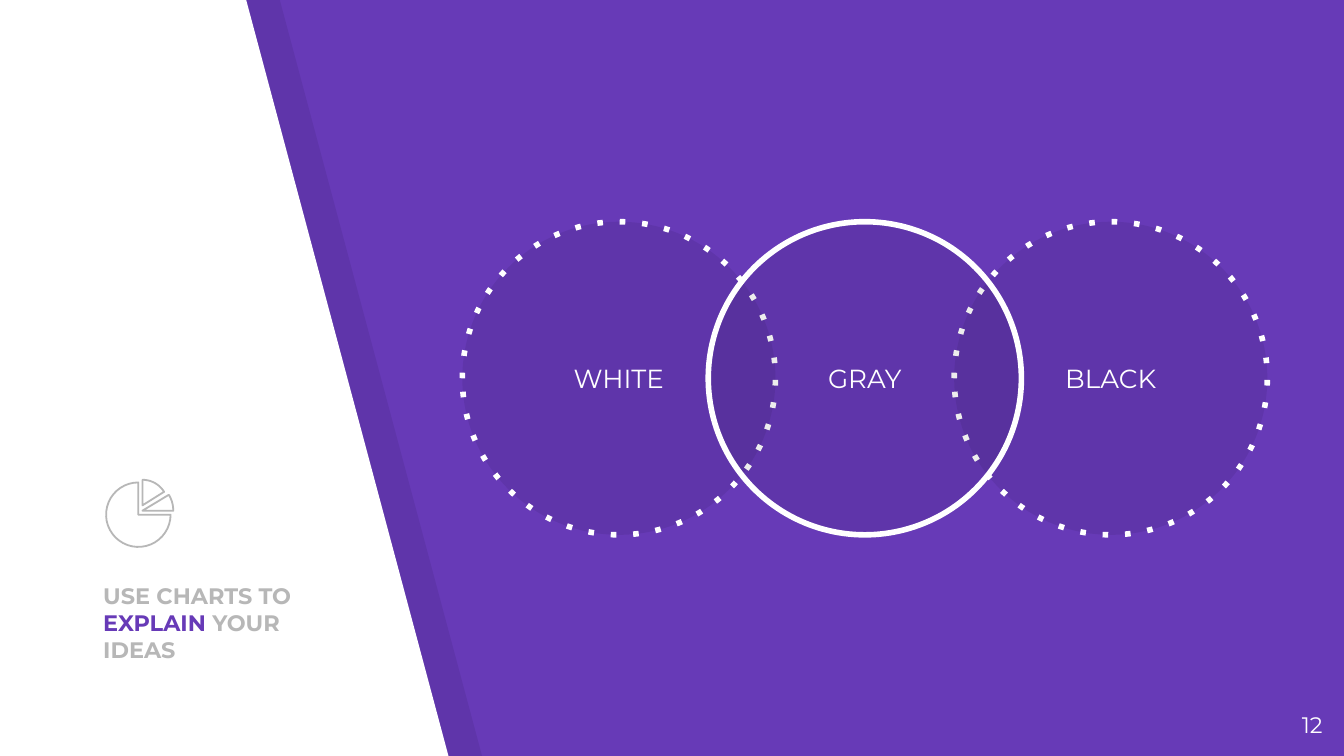
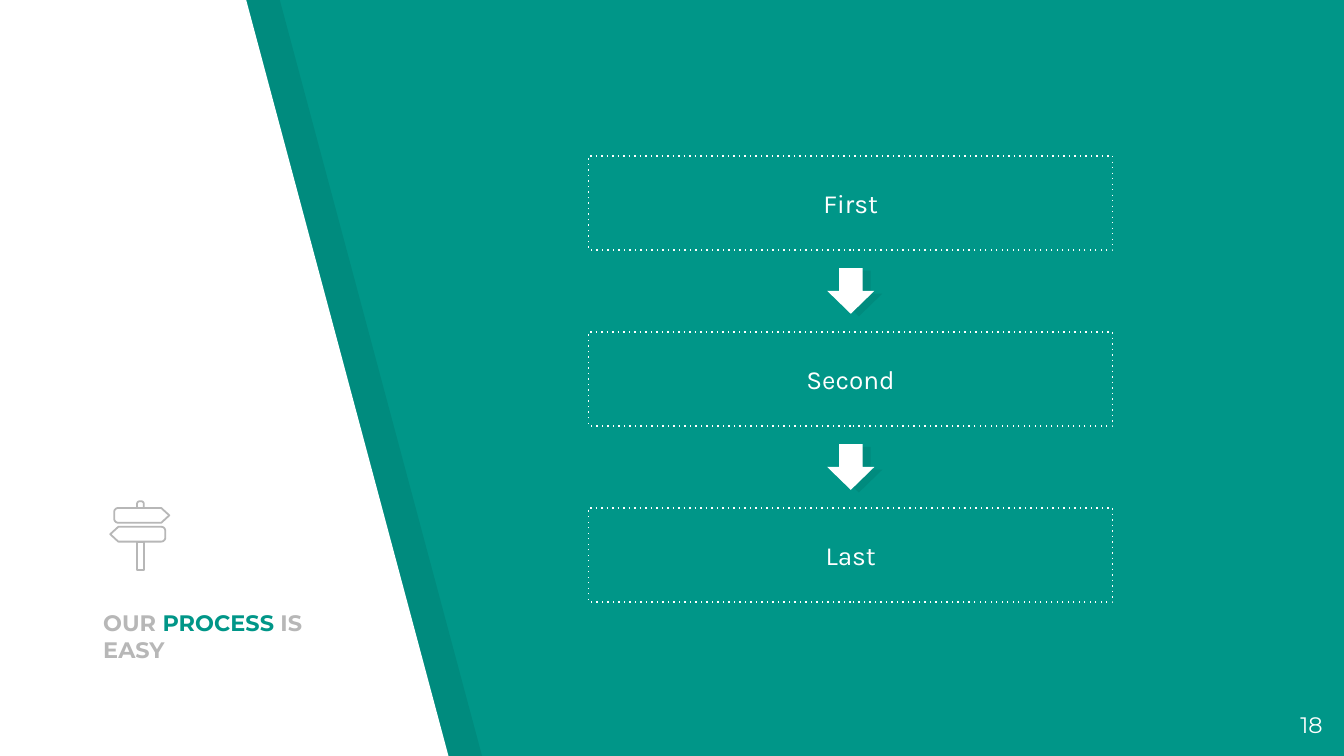
from math import cos, radians, sin

from pptx import Presentation
from pptx.dml.color import RGBColor
from pptx.enum.shapes import MSO_SHAPE as SHAPE
from pptx.enum.text import MSO_ANCHOR as ANCHOR, PP_ALIGN as ALIGN
from pptx.oxml.ns import qn
from pptx.util import Inches, Pt

W = 10
H = W * 9 / 16
WHITE = RGBColor(0xFF, 0xFF, 0xFF)
BLACK = RGBColor(0x00, 0x00, 0x00)
GRAY = RGBColor(0xB7, 0xB7, 0xB7)
PURPLE = RGBColor(0x67, 0x3A, 0xB7)
TEAL = RGBColor(0x00, 0x96, 0x88)
HEAD_FONT, BODY_FONT = "Montserrat", "Karla"
SHADE = 7  # opacity of the dark tint, in percent

TITLE_BOX = (0.67, 4.5, 1.76, 0.53)
NUMBER_BOX = (9.34, 5.19, 0.6, 0.43)
CIRCLES_BOX = (3.44, 1.65, 5.99, 2.33)
STEPS_BOX = (4.38, 1.16, 3.9, 3.32)


def style(s, fill=None, opacity=100, line=None, width=1, dotted=False):
    s.shadow.inherit = False
    if fill is None:
        s.fill.background()
    else:
        s.fill.solid()
        s.fill.fore_color.rgb = fill
        if opacity < 100:
            clr = s.element.spPr.find(qn("a:solidFill"))[0]
            alpha = clr.makeelement(qn("a:alpha"), {"val": str(opacity * 1000)})
            clr.append(alpha)
    if line is None:
        s.line.fill.background()
    else:
        s.line.color.rgb = line
        s.line.width = Pt(width)
        if dotted:
            ln = s.element.spPr.find(qn("a:ln"))
            ln.append(ln.makeelement(qn("a:prstDash"), {"val": "dot"}))
    return s


def add_preset(slide, kind, box, **look):
    return style(slide.shapes.add_shape(kind, *map(Inches, box)), **look)


def add_outline(slide, pts, **look):
    """Draw a closed polygon through points given in inches."""
    start, *rest = [(Inches(x), Inches(y)) for x, y in pts]
    fb = slide.shapes.build_freeform(*start)
    fb.add_line_segments(rest, close=True)
    return style(fb.convert_to_shape(), **look)


def write(s, runs, size=14, font=HEAD_FONT, bold=False,
          align=ALIGN.CENTER, anchor=ANCHOR.MIDDLE):
    """Fill a shape with one paragraph made of (text, colour) runs."""
    tf = s.text_frame
    tf.word_wrap = True
    tf.vertical_anchor = anchor
    tf.margin_left = tf.margin_right = Inches(0.1)
    tf.margin_top = tf.margin_bottom = Inches(0.1)
    p = tf.paragraphs[0]
    p.alignment = align
    for text, color in runs:
        r = p.add_run()
        r.text = text
        r.font.name, r.font.size, r.font.bold = font, Pt(size), bold
        r.font.color.rgb = color


def add_text(slide, box, runs, **fmt):
    write(slide.shapes.add_textbox(*map(Inches, box)), runs, **fmt)


def arc(cx, cy, r, start, end, steps=16):
    """Points on an arc; degrees run clockwise from the right."""
    angles = [radians(start + (end - start) * i / steps) for i in range(steps + 1)]
    return [(cx + r * cos(a), cy + r * sin(a)) for a in angles]


def add_icon_part(slide, x, y, pts):
    add_outline(slide, [(x + dx, y + dy) for dx, dy in pts], line=GRAY, width=0.96)


def pie_icon(slide, x, y):
    for cx, cy, r, start, end in ((0.24, 0.26, 0.24, 0, 270),
                                  (0.27, 0.19, 0.19, 270, 328),
                                  (0.27, 0.23, 0.23, 329, 360)):
        add_icon_part(slide, x, y, [(cx, cy)] + arc(cx, cy, r, start, end, 32))


def signpost_icon(slide, x, y):
    w, h, r, tip = 0.41, 0.11, 0.03, 0.06
    board = (arc(r, r, r, 270, 180) + arc(r, h - r, r, 180, 90)
             + [(w - tip, h), (w, h / 2), (w - tip, 0)])
    add_icon_part(slide, x + 0.03, y + 0.05, board)
    add_icon_part(slide, x, y + 0.19, [(w - dx, dy) for dx, dy in board])
    left, right, r = 0.2, 0.25, 0.02
    cap = arc(left + r, r, r, 180, 270) + arc(right - r, r, r, 270, 360)
    add_icon_part(slide, x, y, cap + [(right, 0.05), (left, 0.05)])
    add_icon_part(slide, x, y, [(left, 0.3), (left, 0.51), (right, 0.51), (right, 0.3)])


def add_base(prs, color, title, number):
    """Start a slide: background, slanted bands, title and slide number."""
    slide = prs.slides.add_slide(prs.slide_layouts[6])
    slide.background.fill.solid()
    slide.background.fill.fore_color.rgb = color
    for x, fill, opacity in ((0.23, BLACK, SHADE), (-0.02, WHITE, 100)):
        band = [(x, -0.01), (x, H + 0.01), (x + 3.36, H + 0.01), (x + 1.85, -0.01)]
        add_outline(slide, band, fill=fill, opacity=opacity)
    before, key, after = title
    add_text(slide, TITLE_BOX, [(before, GRAY), (key, color), (after, GRAY)],
             size=12, bold=True, align=ALIGN.LEFT, anchor=ANCHOR.BOTTOM)
    add_text(slide, NUMBER_BOX, [(str(number), WHITE)],
             size=12, align=ALIGN.RIGHT, anchor=ANCHOR.TOP)
    return slide


def overlapping_circles(slide, box, labels):
    """Spread circles over the box; the middle one is solid and on top."""
    x, y, w, d = box
    pitch = (w - d) / (len(labels) - 1)
    middle = len(labels) // 2
    for i in sorted(range(len(labels)), key=lambda i: i == middle):
        s = add_preset(slide, SHAPE.OVAL, (x + i * pitch, y, d, d), fill=BLACK,
                       opacity=SHADE, line=WHITE, width=3, dotted=i != middle)
        write(s, [(labels[i], WHITE)])


def down_arrow(slide, cx, cy):
    w, h = 0.34, 0.35
    for dx, dy, fill, opacity in ((0.06, 0.02, BLACK, SHADE), (0, 0, WHITE, 100)):
        s = add_preset(slide, SHAPE.RIGHT_ARROW,
                       (cx - w / 2 + dx, cy - h / 2 + dy, w, h),
                       fill=fill, opacity=opacity)
        s.rotation = 90


def process_steps(slide, box, labels, row=0.7):
    x, y, w, h = box
    pitch = (h - row) / (len(labels) - 1)
    for i, label in enumerate(labels):
        top = y + i * pitch
        s = add_preset(slide, SHAPE.RECTANGLE, (x, top, w, row),
                       line=WHITE, width=0.75, dotted=True)
        write(s, [(label, WHITE)], font=BODY_FONT)
        if i:
            down_arrow(slide, x + w / 2, top - (pitch - row) / 2)


def main():
    prs = Presentation()
    prs.slide_width, prs.slide_height = Inches(W), Inches(H)

    slide = add_base(prs, PURPLE, ("USE CHARTS TO ", "EXPLAIN", " YOUR IDEAS"), 12)
    overlapping_circles(slide, CIRCLES_BOX, ["WHITE", "GRAY", "BLACK"])
    pie_icon(slide, 0.79, 3.57)

    slide = add_base(prs, TEAL, ("OUR ", "PROCESS", " IS EASY"), 18)
    process_steps(slide, STEPS_BOX, ["First", "Second", "Last"])
    signpost_icon(slide, 0.82, 3.73)

    prs.save("out.pptx")


if __name__ == "__main__":
    main()
